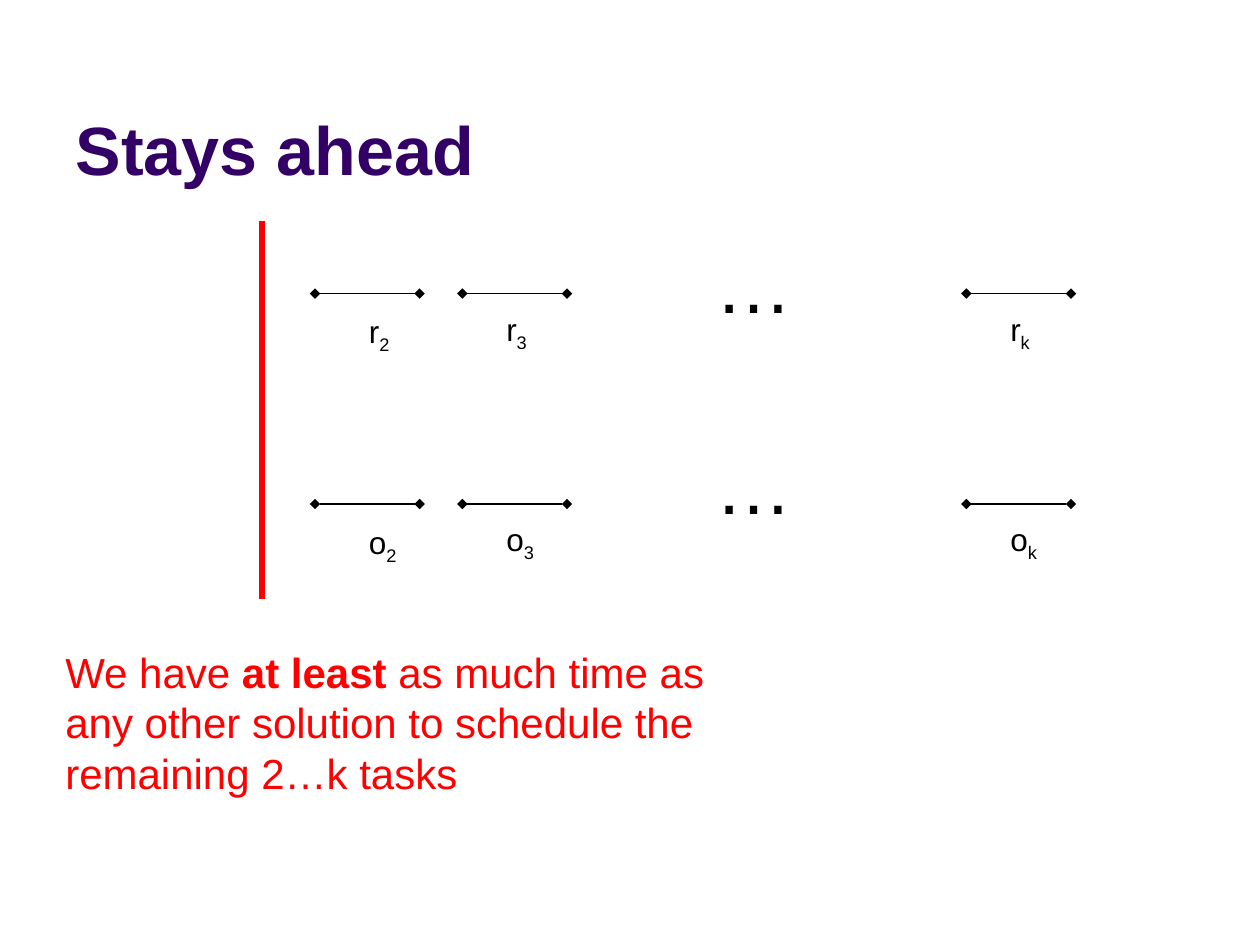
from dataclasses import dataclass

from lxml.etree import SubElement
from pptx import Presentation
from pptx.dml.color import RGBColor as RGB
from pptx.enum.shapes import MSO_CONNECTOR as CONNECTOR
from pptx.enum.text import MSO_ANCHOR as ANCHOR, MSO_AUTO_SIZE as AUTO_SIZE, PP_ALIGN as ALIGN
from pptx.oxml.ns import qn
from pptx.util import Inches, Pt


@dataclass(frozen=True)
class Theme:
    font: str = "Arial"
    heading: RGB = RGB(0x33, 0x00, 0x66)
    ink: RGB = RGB(0x00, 0x00, 0x00)
    accent: RGB = RGB(0xFF, 0x00, 0x00)
    title_size: int = 39
    ellipsis_size: int = 44
    label_size: int = 18
    claim_size: int = 24


theme = Theme()


def write(frame, runs, size, color):
    frame.word_wrap = True
    paragraph = frame.paragraphs[0]
    paragraph.alignment = ALIGN.LEFT
    for text, bold, baseline in runs:
        run = paragraph.add_run()
        run.text = text
        run.font.name = theme.font
        run.font.size = Pt(size)
        run.font.bold = bold
        run.font.color.rgb = color
        if baseline:
            run.font._element.set("baseline", str(baseline))


def draw_line(x1, y1, x2, y2, color, width, ends=None):
    connector = slide.shapes.add_connector(
        CONNECTOR.STRAIGHT, Inches(x1), Inches(y1), Inches(x2), Inches(y2))
    connector.line.color.rgb = color
    connector.line.width = Pt(width)
    if ends:
        outline = connector.line._get_or_add_ln()
        for tag in ("a:headEnd", "a:tailEnd"):
            SubElement(outline, qn(tag), type=ends)
    SubElement(connector._element.spPr, qn("a:effectLst"))


prs = Presentation()
prs.slide_width = Inches(10)
prs.slide_height = Inches(7.5)
slide = prs.slides.add_slide(prs.slide_layouts[5])

title = slide.shapes.title
title.left, title.top = Inches(0.5), Inches(0.13)
title.width, title.height = Inches(9), Inches(1.42)
title.text_frame.vertical_anchor = ANCHOR.BOTTOM
title.text_frame.auto_size = AUTO_SIZE.NONE
write(title.text_frame, [("Stays ahead", True, 0)], theme.title_size, theme.heading)

task_length = 0.83
tasks = [("2", 2.5, 2.83, 0.1), ("3", 3.67, 3.92, 0.08), ("k", 7.67, 7.92, 0.08)]
schedules = [("r", 2.33, 1.83), ("o", 4, 3.42)]

for solution, timeline, ellipsis_top in schedules:
    for index, start, label_left, label_gap in tasks:
        draw_line(start, timeline, start + task_length, timeline, theme.ink, 0.75, "diamond")
        label = slide.shapes.add_textbox(
            Inches(label_left), Inches(timeline + label_gap), Inches(0.5), Inches(0.4))
        write(label.text_frame, [(solution, False, 0), (index, False, -25000)],
              theme.label_size, theme.ink)
    ellipsis = slide.shapes.add_textbox(
        Inches(5.58), Inches(ellipsis_top), Inches(1.08), Inches(0.83))
    write(ellipsis.text_frame, [("…", False, 0)], theme.ellipsis_size, theme.ink)

draw_line(2.08, 1.75, 2.08, 4.75, theme.accent, 3)

claim = slide.shapes.add_textbox(Inches(0.42), Inches(5.08), Inches(5.42), Inches(1.3))
write(claim.text_frame, [
    ("We have ", False, 0),
    ("at least", True, 0),
    (" as much time as any other solution to schedule the remaining 2…k tasks", False, 0),
], theme.claim_size, theme.accent)

prs.save("out.pptx")
